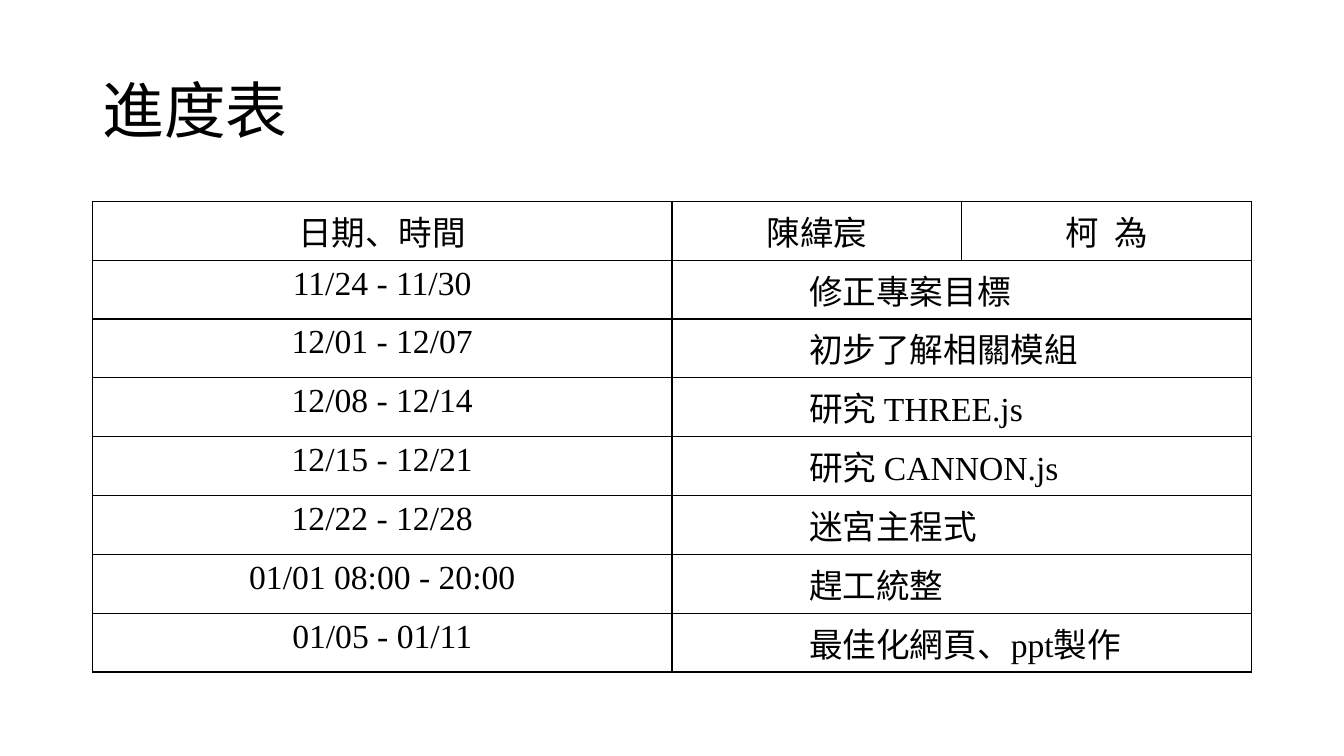
from lxml import etree
from pptx import Presentation
from pptx.dml.color import RGBColor
from pptx.enum.text import MSO_ANCHOR, PP_ALIGN
from pptx.oxml.ns import qn
from pptx.util import Pt

LEFT, CENTER = PP_ALIGN.LEFT, PP_ALIGN.CENTER
TOP, MIDDLE = MSO_ANCHOR.TOP, MSO_ANCHOR.MIDDLE
COLORS = {"ink": "000000", "paper": "FFFFFF"}
CJK_FONT, LATIN_FONT = "Noto Sans CJK SC", "Times New Roman"
MARGIN, CONTENT_WIDTH = 66, 828
DATE_WIDTH, MEMBER_WIDTH, ROW_HEIGHT = 414, 207, 42
TASK_INDENT = 98

HEADINGS = ["日期、時間", "陳緯宸", "柯  為"]
SCHEDULE = [
    ("11/24 - 11/30", "修正專案目標"),
    ("12/01 - 12/07", "初步了解相關模組"),
    ("12/08 - 12/14", "研究 THREE.js"),
    ("12/15 - 12/21", "研究 CANNON.js"),
    ("12/22 - 12/28", "迷宮主程式"),
    ("01/01 08:00 - 20:00", "趕工統整"),
    ("01/05 - 01/11", "最佳化網頁、ppt製作"),
]


def write(frame, text, size=24, font=LATIN_FONT, align=CENTER, spacing=1.0):
    paragraph = frame.paragraphs[0]
    paragraph.alignment = align
    paragraph.line_spacing = spacing
    run = paragraph.add_run()
    run.text = text
    run.font.size = Pt(size)
    run.font.bold = False
    run.font.name = font
    run.font.color.rgb = RGBColor.from_string(COLORS["ink"])
    east_asian = etree.SubElement(run.font._element, qn("a:ea"))
    east_asian.set("typeface", CJK_FONT)


def outline(cell):
    properties = cell._tc.get_or_add_tcPr()
    for side in ("lnL", "lnR", "lnT", "lnB"):
        border = etree.SubElement(properties, qn(f"a:{side}"), w=str(Pt(1)))
        fill = etree.SubElement(border, qn("a:solidFill"))
        etree.SubElement(fill, qn("a:srgbClr"), val=COLORS["ink"])


prs = Presentation()
prs.slide_width, prs.slide_height = Pt(960), Pt(540)
slide = prs.slides.add_slide(prs.slide_layouts[5])
slide.background.fill.solid()
slide.background.fill.fore_color.rgb = RGBColor.from_string(COLORS["paper"])

heading = slide.shapes.title
heading.left, heading.top = Pt(MARGIN), Pt(28.75)
heading.width, heading.height = Pt(CONTENT_WIDTH), Pt(104.4)
heading.text_frame.vertical_anchor = MIDDLE
write(heading.text_frame, "進度表", size=44, font=CJK_FONT, align=LEFT, spacing=0.9)

row_count = len(SCHEDULE) + 1
timetable = slide.shapes.add_table(
    row_count, len(HEADINGS), Pt(MARGIN), Pt(143.75),
    Pt(CONTENT_WIDTH), Pt(row_count * ROW_HEIGHT),
).table
timetable.first_row = False
timetable.horz_banding = False
for column, width in zip(timetable.columns, (DATE_WIDTH, MEMBER_WIDTH, MEMBER_WIDTH)):
    column.width = Pt(width)
for row in timetable.rows:
    row.height = Pt(ROW_HEIGHT)
for cell in timetable.iter_cells():
    outline(cell)
    cell.fill.background()
    cell.vertical_anchor = TOP

for index, name in enumerate(HEADINGS):
    write(timetable.cell(0, index).text_frame, name)

for index, (date, task) in enumerate(SCHEDULE, start=1):
    write(timetable.cell(index, 0).text_frame, date)
    task_cell = timetable.cell(index, 1)
    task_cell.merge(timetable.cell(index, 2))
    task_cell.margin_left = Pt(TASK_INDENT)
    write(task_cell.text_frame, task, align=LEFT)

prs.save("out.pptx")
